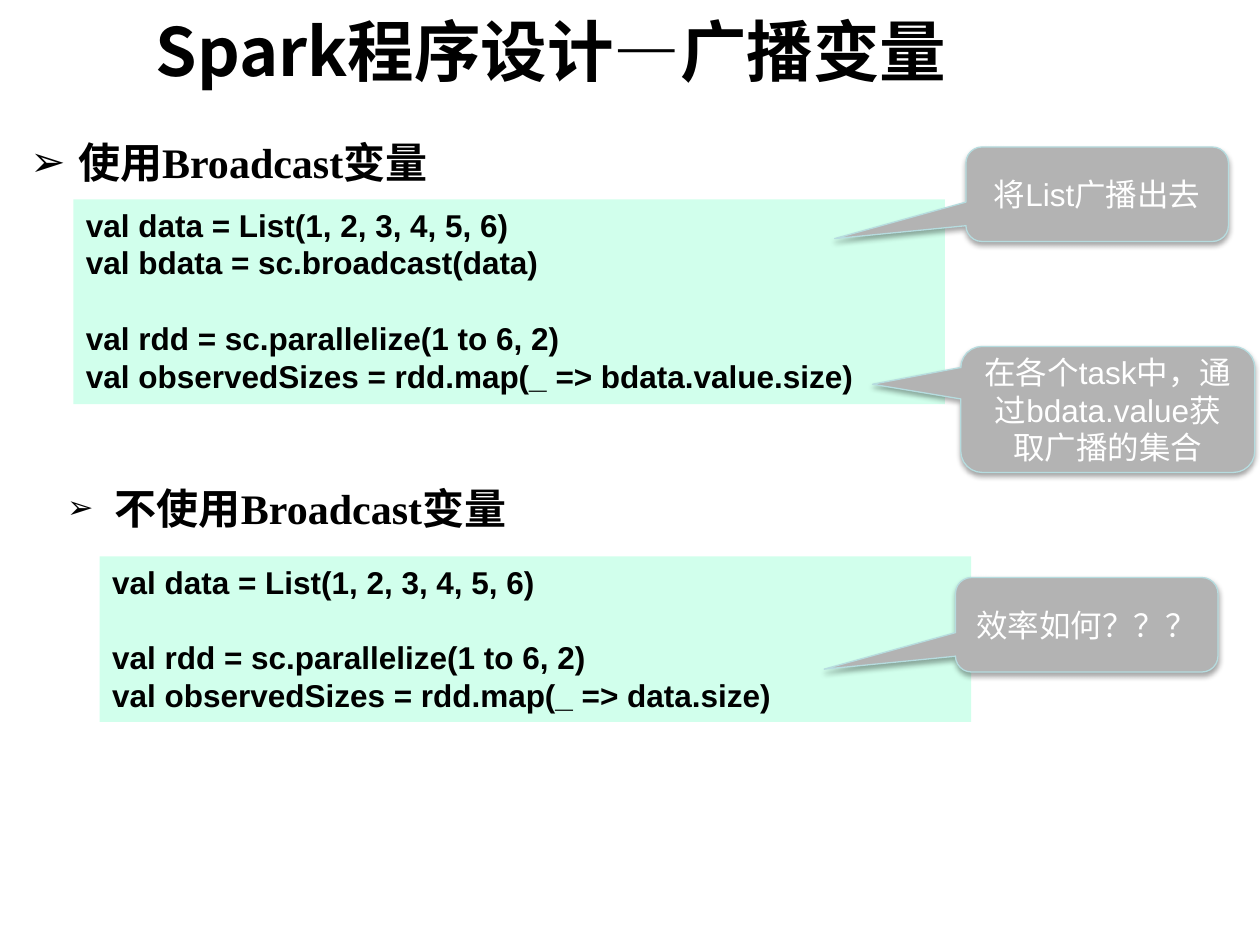
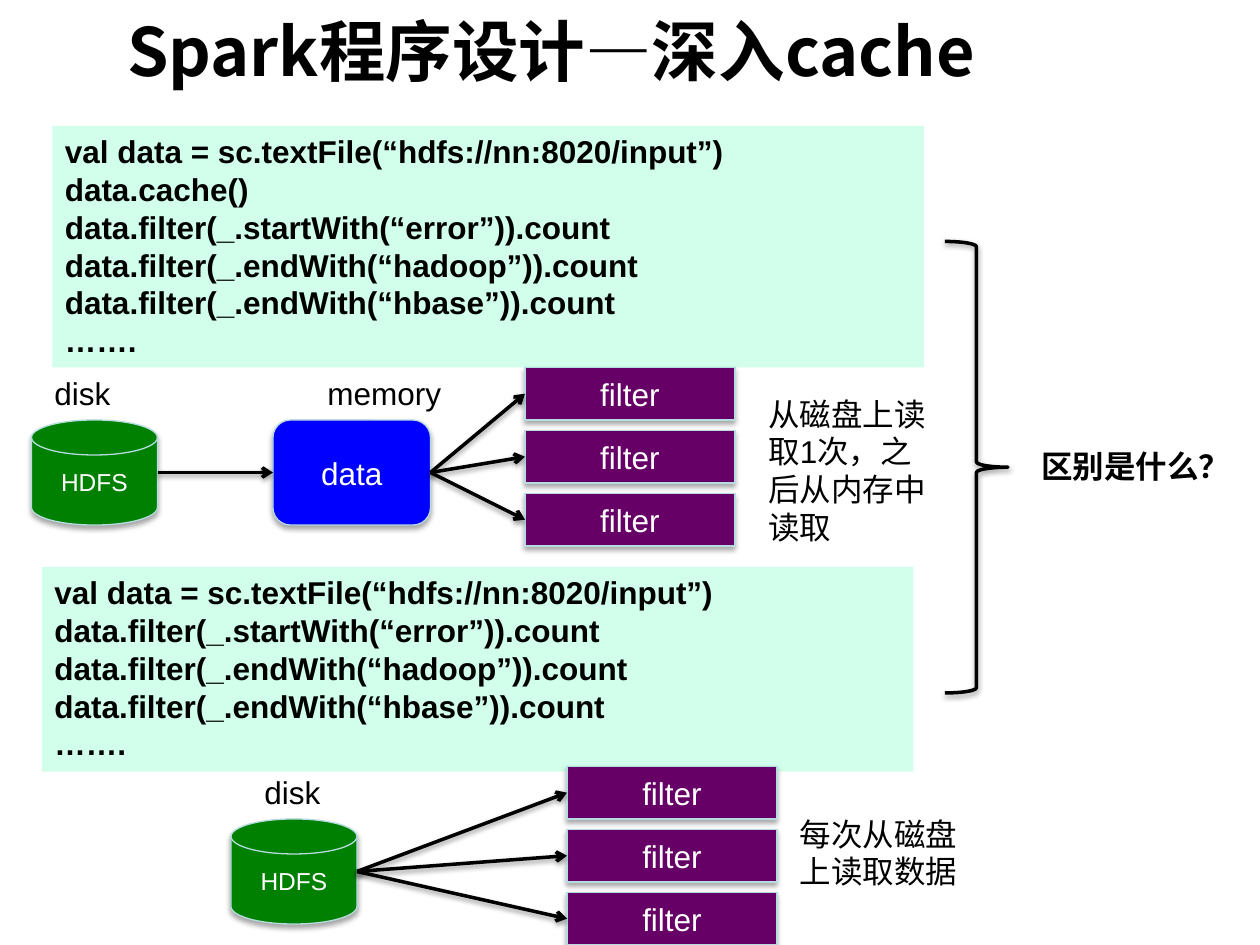
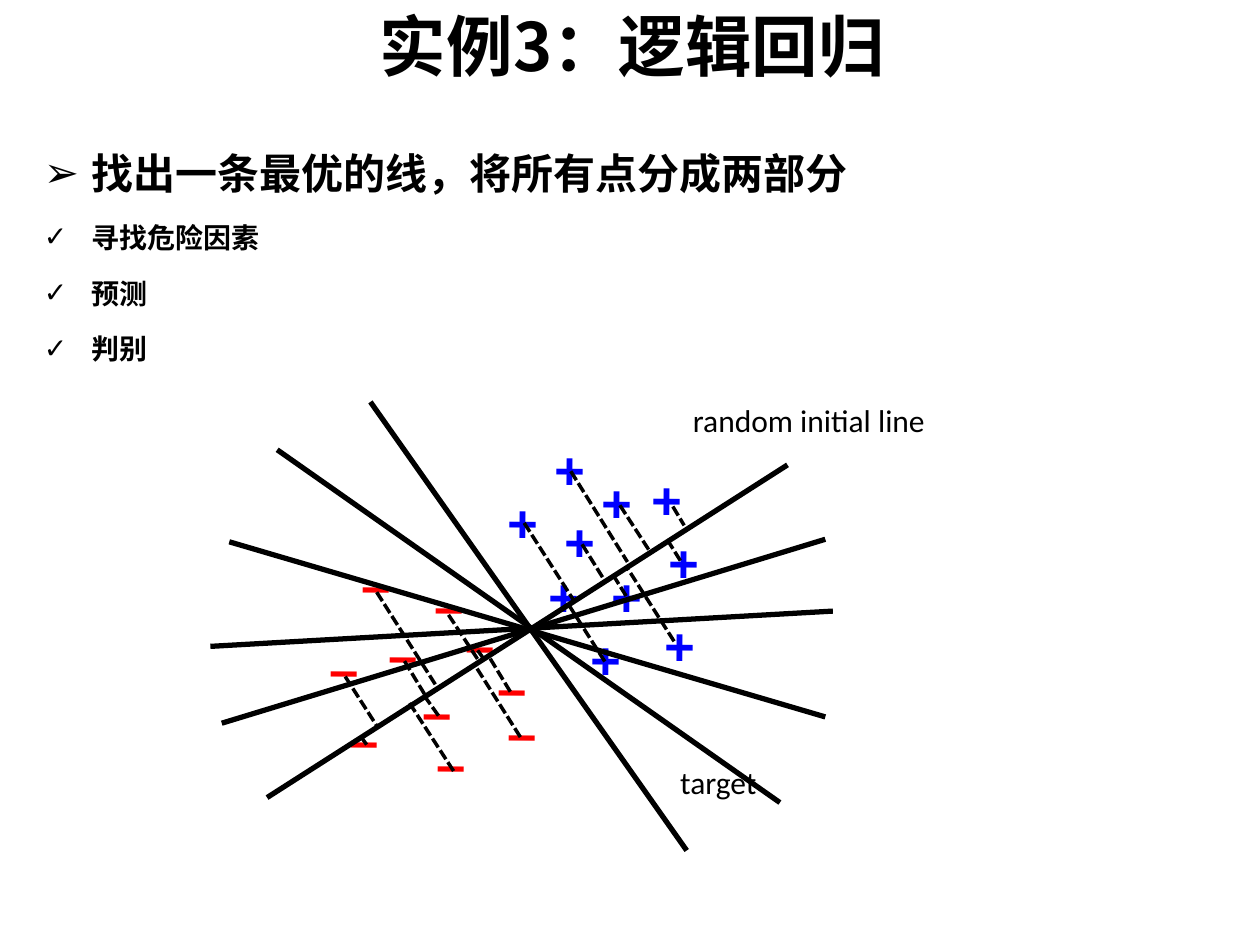
from lxml.etree import SubElement
from pptx import Presentation
from pptx.dml.color import RGBColor
from pptx.enum.dml import MSO_LINE
from pptx.enum.shapes import MSO_CONNECTOR, MSO_SHAPE
from pptx.enum.text import MSO_ANCHOR, MSO_AUTO_SIZE, PP_ALIGN
from pptx.oxml.ns import qn
from pptx.util import Emu, Inches, Pt

BLACK = RGBColor(0x00, 0x00, 0x00)
WHITE = RGBColor(0xFF, 0xFF, 0xFF)
MINT = RGBColor(0xD1, 0xFF, 0xEC)
GREY = RGBColor(0xB3, 0xB3, 0xB3)
PALE_BLUE = RGBColor(0xB6, 0xDC, 0xDF)
GREEN = RGBColor(0x00, 0x80, 0x00)
BLUE = RGBColor(0x00, 0x00, 0xFF)
PURPLE = RGBColor(0x66, 0x00, 0x66)
RED = RGBColor(0xFF, 0x00, 0x00)

CJK, SANS, SERIF, LABEL = "Noto Sans CJK SC", "Arial", "Times New Roman", "Calibri"


class Deck:
    """Style and current slide; lengths are cells of a square grid."""

    def __init__(self):
        self.prs = Presentation()
        self.prs.slide_width, self.prs.slide_height = Inches(10), Inches(7.5)

    def emu(self, *cells):
        return [Emu(round(c * self.cell)) for c in cells]

    def new_slide(self, title, box, columns=120):
        self.cell = self.prs.slide_width / columns
        self.slide = self.prs.slides.add_slide(self.prs.slide_layouts[5])
        sp = self.slide.shapes.title
        sp.left, sp.top, sp.width, sp.height = self.emu(*box)
        tf = sp.text_frame
        tf.text = title
        tf.auto_size = MSO_AUTO_SIZE.NONE
        tf.vertical_anchor = MSO_ANCHOR.MIDDLE
        self.format(tf, 38, CJK, bold=True, align=PP_ALIGN.CENTER)

    def format(self, tf, size, font=SANS, color=BLACK, bold=False, align=PP_ALIGN.LEFT):
        for p in tf.paragraphs:
            p.alignment = align
            for r in p.runs:
                f = r.font
                f.size, f.name, f.bold, f.color.rgb = Pt(size), font, bold, color
                SubElement(f._element, qn("a:ea"), typeface=CJK)

    def shadow(self, sp, distance, alpha):
        effects = SubElement(sp._element.spPr, qn("a:effectLst"))
        outer = SubElement(effects, qn("a:outerShdw"), blurRad=str(Pt(3.1)),
                           dist=str(Pt(distance)), dir="5400000", rotWithShape="0")
        color = SubElement(outer, qn("a:srgbClr"), val=str(BLACK))
        SubElement(color, qn("a:alpha"), val=str(alpha * 1000))

    def text(self, text, box, size=18, wrap=False, angle=0, **style):
        sp = self.slide.shapes.add_textbox(*self.emu(*box))
        sp.rotation = angle
        tf = sp.text_frame
        tf.text = text
        tf.word_wrap = wrap
        tf.auto_size = MSO_AUTO_SIZE.NONE if wrap else MSO_AUTO_SIZE.SHAPE_TO_FIT_TEXT
        self.format(tf, size, **style)
        return tf

    def bullets(self, items, box, bullet_scale=100):
        """Items are (mark, text, size)."""
        tf = self.text("\n".join(text for _, text, _ in items), box, wrap=True)
        for i, (p, (mark, _, size)) in enumerate(zip(tf.paragraphs, items)):
            p.line_spacing = 1.5
            p.space_before = Pt(size * 0.2 if i else 0)
            pPr = p._p.get_or_add_pPr()
            pPr.set("marL", str(Inches(0.38)))
            pPr.set("indent", str(-Inches(0.38)))
            SubElement(pPr, qn("a:buSzPct"), val=str(bullet_scale * 1000))
            SubElement(pPr, qn("a:buFont"), typeface=SANS)
            SubElement(pPr, qn("a:buChar"), char=mark)
            for r in p.runs:
                r.font.size, r.font.name, r.font.bold = Pt(size), SERIF, True

    def code(self, lines, box, gap_before=None):
        """Mint code panel; gap_before is the line that starts a new section."""
        sp = self.slide.shapes.add_shape(MSO_SHAPE.RECTANGLE, *self.emu(*box))
        sp.shadow.inherit = False
        sp.fill.solid()
        sp.fill.fore_color.rgb = MINT
        sp.line.fill.background()
        tf = sp.text_frame
        tf.word_wrap = True
        tf.vertical_anchor = MSO_ANCHOR.TOP
        tf.text = "\n".join(lines)
        self.format(tf, 18, bold=True)
        if gap_before:
            tf.paragraphs[gap_before].space_before = Pt(21.6)

    def block(self, kind, text, box, fill, size=18, adjust=()):
        sp = self.slide.shapes.add_shape(kind, *self.emu(*box))
        for i, value in enumerate(adjust):
            sp.adjustments[i] = value
        sp.fill.solid()
        sp.fill.fore_color.rgb = fill
        sp.line.color.rgb, sp.line.width = PALE_BLUE, Pt(0.75)
        self.shadow(sp, 1.8, 35)
        tf = sp.text_frame
        tf.word_wrap = True
        tf.text = text
        tf.vertical_anchor = MSO_ANCHOR.MIDDLE
        self.format(tf, size, color=WHITE, align=PP_ALIGN.CENTER)
        return sp

    def callout(self, text, box, tip=(-1, 0.47)):
        self.block(MSO_SHAPE.ROUNDED_RECTANGULAR_CALLOUT, text, box, GREY,
                   adjust=(*tip, 0.17))

    def disk(self, box):
        return self.block(MSO_SHAPE.FLOWCHART_MAGNETIC_DISK, "HDFS", box, GREEN, 14)

    def filters(self, source, left, top):
        """Three stacked filter boxes fed by arrows from the source."""
        for i in range(3):
            sp = self.block(MSO_SHAPE.RECTANGLE, "filter", (left, top + 6 * i, 20, 5), PURPLE)
            self.arrow(source, sp)

    def brace(self, box):
        sp = self.slide.shapes.add_shape(MSO_SHAPE.RIGHT_BRACE, *self.emu(*box))
        sp.fill.background()
        sp.line.color.rgb, sp.line.width = BLACK, Pt(2)
        self.shadow(sp, 1.6, 38)

    def connector(self, ends, width):
        cx = self.slide.shapes.add_connector(MSO_CONNECTOR.STRAIGHT, *ends)
        cx.line.color.rgb, cx.line.width = BLACK, Pt(width)
        return cx

    def arrow(self, source, target):
        start = source.left + source.width, source.top + source.height // 2
        cx = self.connector((*start, target.left, target.top + target.height // 2), 2)
        if source.auto_shape_type != MSO_SHAPE.FLOWCHART_MAGNETIC_DISK:
            cx.begin_connect(source, 3)
        cx.end_connect(target, 1)
        SubElement(cx.line._get_or_add_ln(), qn("a:tailEnd"), type="arrow")
        self.shadow(cx, 1.6, 38)

    def line(self, ends, width=3, dashed=False):
        cx = self.connector(self.emu(*ends), width)
        if dashed:
            cx.line.dash_style = MSO_LINE.SQUARE_DOT
        SubElement(cx._element.spPr, qn("a:effectLst"))


def broadcast_slide(deck):
    deck.new_slide("Spark程序设计—广播变量", (3, 0, 99, 9.5))
    data, rdd = "val data = List(1, 2, 3, 4, 5, 6)", "val rdd = sc.parallelize(1 to 6, 2)"
    sizes = "val observedSizes = rdd.map(_ => {}.size)"
    deck.bullets([("➢", "使用Broadcast变量", 24)], (1.7, 10, 115.3, 11))
    deck.code([data, "val bdata = sc.broadcast(data)", rdd, sizes.format("bdata.value")],
              (7, 19, 83, 19.5), gap_before=2)
    deck.callout("将List广播出去", (92, 14, 25, 9))
    deck.callout("在各个task中，通过bdata.value获取广播的集合", (91.5, 33, 28, 12), (-0.8, -0.2))
    deck.bullets([("➢", "不使用Broadcast变量", 24)], (5.2, 43, 115.3, 11), bullet_scale=75)
    deck.code([data, rdd, sizes.format("data")], (9.5, 53, 83, 15.75), gap_before=1)
    deck.callout("效率如何？？？", (91, 55, 25, 9))


def cache_slide(deck):
    deck.new_slide("Spark程序设计—深入cache", (3, 0, 99, 9.5))
    load = "val data = sc.textFile(“hdfs://nn:8020/input”)"
    counts = [f"data.filter(_.{test}).count" for test in
              ("startWith(“error”)", "endWith(“hadoop”)", "endWith(“hbase”)")] + ["……."]
    deck.code([load, "data.cache()", *counts], (5, 12, 83, 23))
    deck.code([load, *counts], (4, 54, 83, 19.5))

    cached_disk = deck.disk((3, 40, 12, 10))
    memory = deck.block(MSO_SHAPE.ROUNDED_RECTANGLE, "data", (26, 40, 15, 10), BLUE)
    deck.arrow(cached_disk, memory)
    deck.filters(memory, 50, 35)
    deck.filters(deck.disk((22, 78, 12, 10)), 54, 73)

    deck.text("disk", (4, 35, 7.8, 4.8))
    deck.text("memory", (30, 35, 13.3, 4.8))
    deck.text("disk", (24, 73, 7.8, 4.8))
    deck.brace((90, 23, 6, 43))
    deck.text("区别是什么？", (98, 42, 20.6, 4.8), bold=True)
    deck.text("从磁盘上读取1次，之后从内存中读取", (72, 37, 19, 15.75), wrap=True)
    deck.text("每次从磁盘上读取数据", (75, 77, 19, 8.5), wrap=True)


PLUSES = [(438, 399), (426, 443), (521, 416), (476, 443), (468, 368), (518, 482),
          (393, 384), (430, 342), (507, 366), (459, 493)]
MINUSES = [(326, 534), (299, 489), (360, 481), (335, 450), (268, 556), (277, 433),
           (385, 515), (337, 575), (393, 551), (252, 500)]
CANDIDATES = [(294, 319, 545, 675), (212, 633, 625, 369), (176, 574, 655, 428),
              (167, 513, 661, 485), (182, 430, 655, 569), (220, 357, 619, 637)]
DISTANCES = [(348, 568, 338, 554), (492, 401, 516, 438), (462, 432, 480, 461),
             (453, 374, 498, 446), (534, 402, 543, 417), (416, 415, 455, 476),
             (540, 445, 530, 429), (497, 473, 487, 457), (535, 509, 498, 451),
             (480, 525, 452, 481), (299, 470, 346, 544), (356, 488, 379, 523),
             (274, 537, 299, 576), (405, 549, 388, 521), (325, 558, 360, 612),
             (413, 585, 377, 528), (291, 591, 286, 584), (384, 523, 379, 516),
             (337, 551, 320, 523)]


def regression_slide(deck):
    deck.new_slide("实例3：逻辑回归", (4, 0, 996, 71), columns=1000)
    goals = [("✓", goal, 16) for goal in ("寻找危险因素", "预测", "判别")]
    deck.bullets([("➢", "找出一条最优的线，将所有点分成两部分", 24), *goals], (25, 92, 925, 225))
    for sign, color, width, points in (("+", BLUE, 45, PLUSES), ("–", RED, 44, MINUSES)):
        for x, y in points:
            deck.text(sign, (x, y, width, 61), 30, angle=0.4, color=color, bold=True)
    for ends in CANDIDATES:
        deck.line(ends)
    for ends in DISTANCES:
        deck.line(ends, 2, dashed=True)
    deck.text("target", (530, 601, 107, 51), font=LABEL)
    deck.text("random initial line", (507, 313, 270, 51), font=LABEL, align=PP_ALIGN.CENTER)


def main():
    deck = Deck()
    for build in (broadcast_slide, cache_slide, regression_slide):
        build(deck)
    deck.prs.save("out.pptx")


if __name__ == "__main__":
    main()
